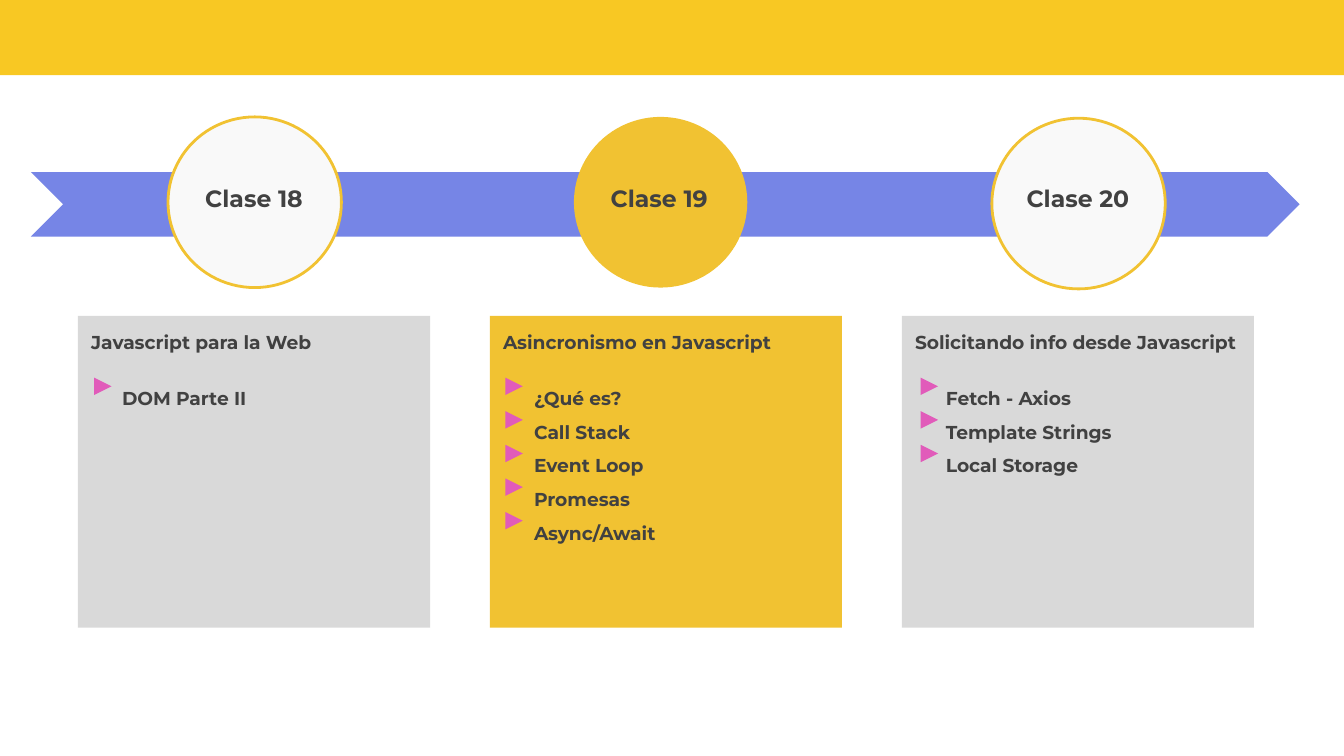
from pptx import Presentation, util as u
from pptx.dml import color
from pptx.enum import shapes, text

HUES = {"gold": "F1C232", "band": "F8C823", "blue": "7685E6", "pale": "F9F9F9",
        "gray": "D9D9D9", "ink": "414141", "pink": "E15BBA"}
KIND = shapes.MSO_SHAPE
SIDE = text.PP_ALIGN


class Deck:
    font = "Montserrat"

    def __init__(self, wide, high):
        self.show = Presentation()
        self.show.slide_width, self.show.slide_height = u.Inches(wide), u.Inches(high)
        self.slide = self.show.slides.add_slide(self.show.slide_layouts[5])

    def hue(self, name):
        return color.RGBColor.from_string(HUES[name])

    def shape(self, kind, box, fill, line=None, turn=0):
        item = self.slide.shapes.add_shape(kind, *map(u.Inches, box))
        item.shadow.inherit = False
        item.rotation = turn
        item.fill.solid()
        item.fill.fore_color.rgb = self.hue(fill)
        if line:
            item.line.color.rgb = self.hue(line)
            item.line.width = u.Pt(1.5)
        else:
            item.line.fill.background()

    def frame(self, item):
        frame = item.text_frame
        frame.word_wrap = True
        frame.auto_size = text.MSO_AUTO_SIZE.NONE
        frame.vertical_anchor = text.MSO_ANCHOR.TOP
        frame.margin_left = frame.margin_right = u.Inches(0.1)
        frame.margin_top = frame.margin_bottom = u.Inches(0.1)
        return frame

    def run(self, para, words, size, side):
        para.alignment = side
        run = para.add_run()
        run.text = words
        run.font.name, run.font.size, run.font.bold = self.font, u.Pt(size), True
        run.font.color.rgb = self.hue("ink")

    def label(self, box, words, title=False):
        if title:
            item = self.slide.shapes.title
            item.left, item.top, item.width, item.height = map(u.Inches, box)
            item.element.getparent().append(item.element)
        else:
            item = self.slide.shapes.add_textbox(*map(u.Inches, box))
        para = self.frame(item).paragraphs[0]
        self.run(para, words, 12.6, SIDE.CENTER)

    def list(self, box, head, rows):
        frame = self.frame(self.slide.shapes.add_textbox(*map(u.Inches, box)))
        self.run(frame.paragraphs[0], head, 10, SIDE.LEFT)
        for row, words in enumerate(rows):
            para = frame.add_paragraph()
            para.line_spacing = 1.5
            para.space_before = u.Pt(0 if row else 12.2)
            para._p.get_or_add_pPr().set("marL", str(u.Inches(0.23)))
            self.run(para, words, 10, SIDE.LEFT)

    def mark(self, left, top):
        self.shape(KIND.ISOSCELES_TRIANGLE, (left, top, 0.13, 0.13), "pink", turn=90)


def main():
    deck = Deck(10, 10 * 9 / 16)
    deck.shape(KIND.RECTANGLE, (-0.01, -0.05, 10.03, 0.61), "band")
    deck.shape(KIND.CHEVRON, (0.23, 1.28, 9.44, 0.48), "blue")
    first, last = 0.58, 6.71
    steps = [
        ("Clase 18", 1.25, 0.87, (1.39, 1), 0.7, "Javascript para la Web", ["DOM Parte II"]),
        ("Clase 19", 4.27, 0.87, (4.31, 1.19), 3.76, "Asincronismo en Javascript",
         ["¿Qué es?", "Call Stack", "Event Loop", "Promesas", "Async/Await"]),
        ("Clase 20", 7.38, 0.88, (7.52, 1), 6.85, "Solicitando info desde Javascript",
         ["Fetch - Axios", "Template Strings", "Local Storage"]),
    ]
    for col, (name, disc, top, (tag, wide), tip, head, rows) in enumerate(steps):
        now = col == 1
        left = first + col * (last - first) / 2
        deck.shape(KIND.OVAL, (disc, top, 1.29, 1.27), "gold" if now else "pale",
                   None if now else "gold")
        deck.shape(KIND.RECTANGLE, (left, 2.35, 2.62, 2.32), "gold" if now else "gray")
        deck.label((tag, 1.27, wide, 0.33), name, title=now)
        deck.list((left, 2.36, 2.62, 2.32), head, rows)
        for row in range(len(rows)):
            deck.mark(tip, 2.81 + row * 0.25)
    deck.show.save("out.pptx")


if __name__ == "__main__":
    main()
